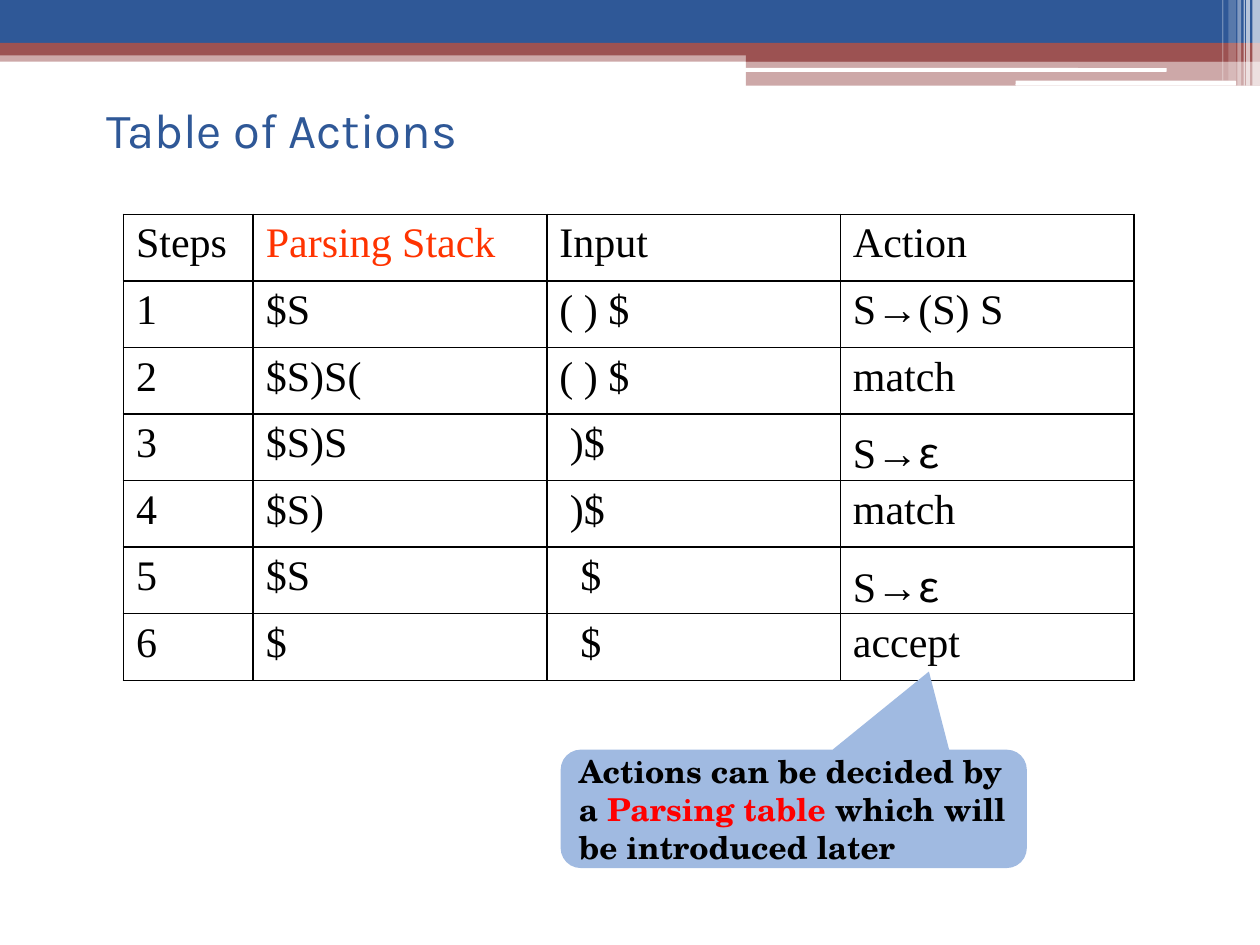
from dataclasses import dataclass

from lxml import etree
from pptx import Presentation
from pptx.dml.color import RGBColor
from pptx.enum import shapes, text
from pptx.oxml import ns
from pptx.util import Inches, Pt

WIDTH, HEIGHT = Inches(10), Inches(7.5)
BLUE = RGBColor(0x2F, 0x58, 0x97)
BRICK = RGBColor(0x9C, 0x52, 0x52)
WHITE = RGBColor(0xFF, 0xFF, 0xFF)
BLACK = RGBColor(0, 0, 0)
RED = RGBColor(0xFF, 0, 0)
ORANGE = RGBColor(0xFF, 0x33, 0)
SKY = RGBColor(0xA0, 0xBA, 0xE1)
SERIF = "Times New Roman"
HANGING = Inches(0.38)
SPACE_WIDTH = Pt(6)


@dataclass(frozen=True)
class Area:
    left: float
    top: float
    width: float
    height: float

    def lengths(self) -> tuple[int, int, int, int]:
        return (
            int(WIDTH * self.left / 100),
            int(HEIGHT * self.top / 100),
            int(WIDTH * self.width / 100),
            int(HEIGHT * self.height / 100),
        )


@dataclass(frozen=True)
class Band:
    area: Area
    color: RGBColor
    opacity: int = 100
    rounded: bool = False


@dataclass(frozen=True)
class Span:
    words: str
    color: RGBColor = BLACK
    font: str = SERIF
    size: int = 24
    bold: bool = False


@dataclass(frozen=True)
class Entry:
    spans: tuple[Span, ...]
    indent: int = 0


def stripe(left: float, width: float, height: float, opacity: int) -> Band:
    return Band(Area(left, 0, width, height), WHITE, opacity)


def plain(words: str, indent: int = 0, color: RGBColor = BLACK) -> Entry:
    return Entry((Span(words, color),), indent)


BANDS = [
    Band(Area(0, 5.33, 100, 1.2), BRICK, 50),
    Band(Area(0, 0, 100, 4.53), BLUE),
    Band(Area(0, 4.53, 100, 1.33), BRICK),
    Band(Area(59.2, 5.2, 40.8, 1.33), BRICK),
    Band(Area(59.2, 6.4, 40.8, 2.67), BRICK, 50),
    Band(Area(59.1, 7.2, 33.5, 0.4), WHITE, rounded=True),
    Band(Area(80.6, 8.53, 17.5, 0.53), WHITE, rounded=True),
    stripe(99.4, 0.6, 9.07, 65),
    stripe(98.9, 0.3, 9.07, 65),
    stripe(98.7, 0.1, 9.07, 60),
    stripe(98.2, 0.3, 9.07, 40),
    stripe(97.5, 0.6, 8.53, 20),
    stripe(97, 0.1, 8.53, 30),
]
TITLE_AREA = Area(7.5, 9.07, 37.8, 9.2)
TABLE_AREA = Area(9.8, 22.67, 80.2, 49.33)
CALLOUT_AREA = Area(44.5, 79.33, 37, 12.53)
COLUMN_SHARES = [10.3, 23.3, 23.3, 23.3]
EPSILON_RULE = Entry((Span("S→"), Span("ε", font="Noto Sans CJK SC")))
HEADER = [plain("Steps"), plain("Parsing Stack", color=ORANGE), plain("Input"), plain("Action")]
STEPS = [
    (plain("$S"), plain("( ) $"), plain("S→(S) S")),
    (plain("$S)S("), plain("( ) $"), plain("match")),
    (plain("$S)S"), plain(")$", 1), EPSILON_RULE),
    (plain("$S)"), plain(")$", 1), plain("match")),
    (plain("$S"), plain("$", 2), EPSILON_RULE),
    (plain("$"), plain("$", 2), plain("accept")),
]
ROWS = [HEADER] + [[plain(str(number)), *step] for number, step in enumerate(STEPS, 1)]


def write_spans(para, spans: tuple[Span, ...]) -> None:
    for span in spans:
        piece = para.add_run()
        piece.text = span.words
        piece.font.color.rgb = span.color
        formats = {"name": span.font, "size": Pt(span.size), "bold": span.bold}
        for name, value in formats.items():
            setattr(piece.font, name, value)


def fill_shape(shape, color: RGBColor) -> None:
    shape.shadow.inherit = False
    shape.line.fill.background()
    shape.fill.solid()
    shape.fill.fore_color.rgb = color


def draw_band(page, band: Band) -> None:
    kind = shapes.MSO_SHAPE.ROUNDED_RECTANGLE if band.rounded else shapes.MSO_SHAPE.RECTANGLE
    shape = page.shapes.add_shape(kind, *band.area.lengths())
    fill_shape(shape, band.color)
    if band.opacity < 100:
        tint = shape.fill._xPr.find(".//" + ns.qn("a:srgbClr"))
        etree.SubElement(tint, ns.qn("a:alpha"), val=str(band.opacity * 1000))


def draw_title(page) -> None:
    box = page.shapes.add_textbox(*TITLE_AREA.lengths())
    box.text_frame.word_wrap = True
    box.text_frame.vertical_anchor = text.MSO_ANCHOR.MIDDLE
    write_spans(box.text_frame.paragraphs[0], (Span("Table of Actions", BLUE, "Karla", 28),))


def draw_borders(cell) -> None:
    properties = cell._tc.get_or_add_tcPr()
    for position, side in enumerate(("lnL", "lnR", "lnT", "lnB")):
        line = etree.Element(ns.qn("a:" + side), w=str(Pt(1)))
        solid = etree.SubElement(line, ns.qn("a:solidFill"))
        etree.SubElement(solid, ns.qn("a:srgbClr"), val=str(BLACK))
        properties.insert(position, line)


def draw_cell(cell, entry: Entry) -> None:
    cell.fill.background()
    draw_borders(cell)
    para = cell.text_frame.paragraphs[0]
    properties = para._p.get_or_add_pPr()
    properties.set("marL", str(HANGING))
    properties.set("indent", str(entry.indent * SPACE_WIDTH - HANGING))
    write_spans(para, entry.spans)


def draw_table(page) -> None:
    frame = page.shapes.add_table(len(ROWS), len(COLUMN_SHARES), *TABLE_AREA.lengths())
    table = frame.table
    for name in ("first_row", "horz_banding"):
        setattr(table, name, False)
    for column, share in zip(table.columns, COLUMN_SHARES):
        column.width = int(WIDTH * share / 100)
    for row, entries in zip(table.rows, ROWS):
        for cell, entry in zip(row.cells, entries):
            draw_cell(cell, entry)


def draw_callout(page) -> None:
    kind = shapes.MSO_SHAPE.ROUNDED_RECTANGULAR_CALLOUT
    callout = page.shapes.add_shape(kind, *CALLOUT_AREA.lengths())
    fill_shape(callout, SKY)
    for position, value in enumerate((0.29, -1.16, 0.17)):
        callout.adjustments[position] = value
    callout.text_frame.word_wrap = True
    callout.text_frame.vertical_anchor = text.MSO_ANCHOR.MIDDLE
    para = callout.text_frame.paragraphs[0]
    para.alignment = text.PP_ALIGN.LEFT
    pieces = (
        ("Actions can be decided by a ", BLACK),
        ("Parsing table ", RED),
        ("which will be introduced later", BLACK),
    )
    write_spans(para, tuple(Span(words, color, "TeX Gyre Schola", 18, True) for words, color in pieces))


def main() -> None:
    deck = Presentation()
    deck.slide_width, deck.slide_height = WIDTH, HEIGHT
    page = deck.slides.add_slide(deck.slide_layouts[6])
    for band in BANDS:
        draw_band(page, band)
    draw_title(page)
    draw_table(page)
    draw_callout(page)
    deck.save("out.pptx")


if __name__ == "__main__":
    main()
